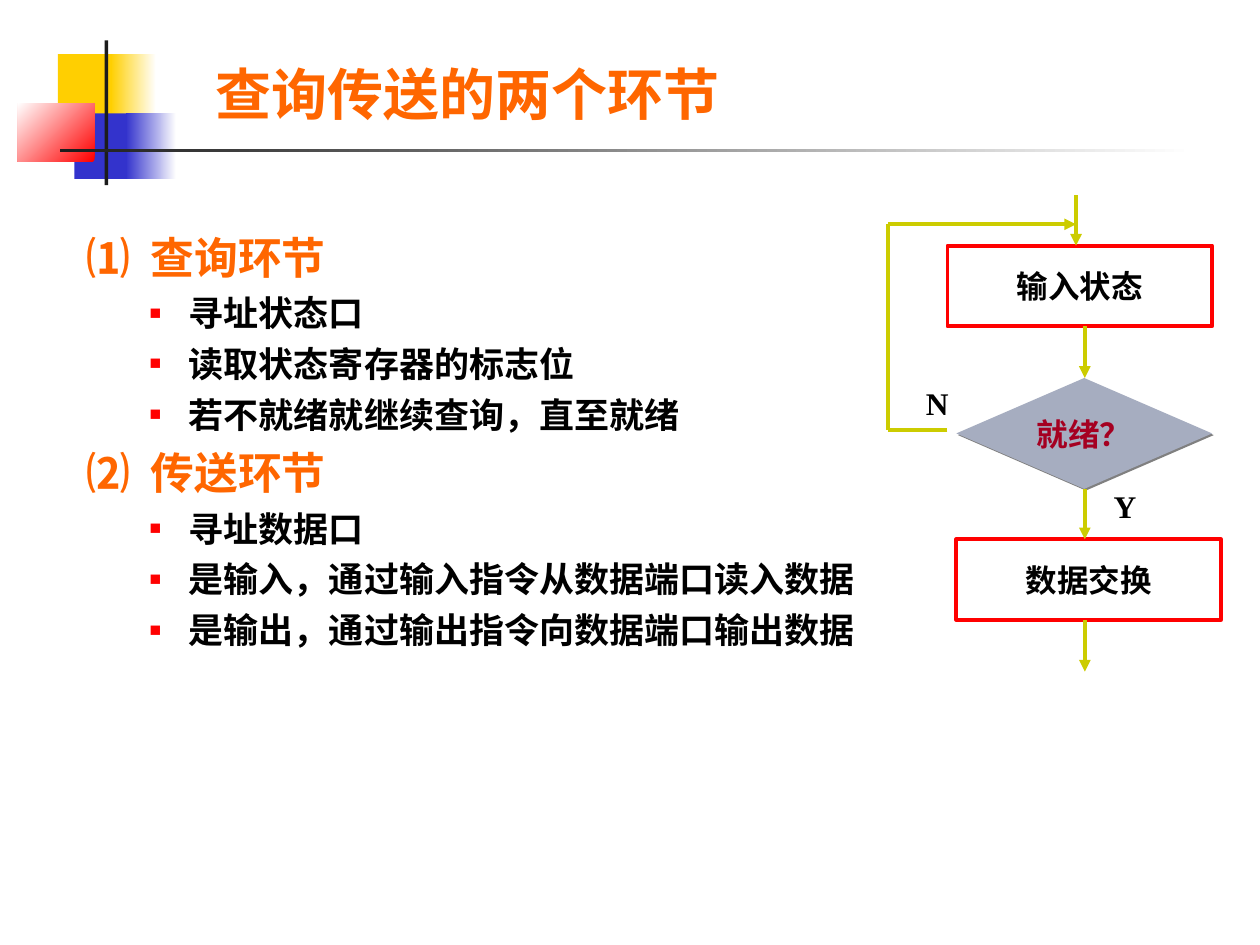
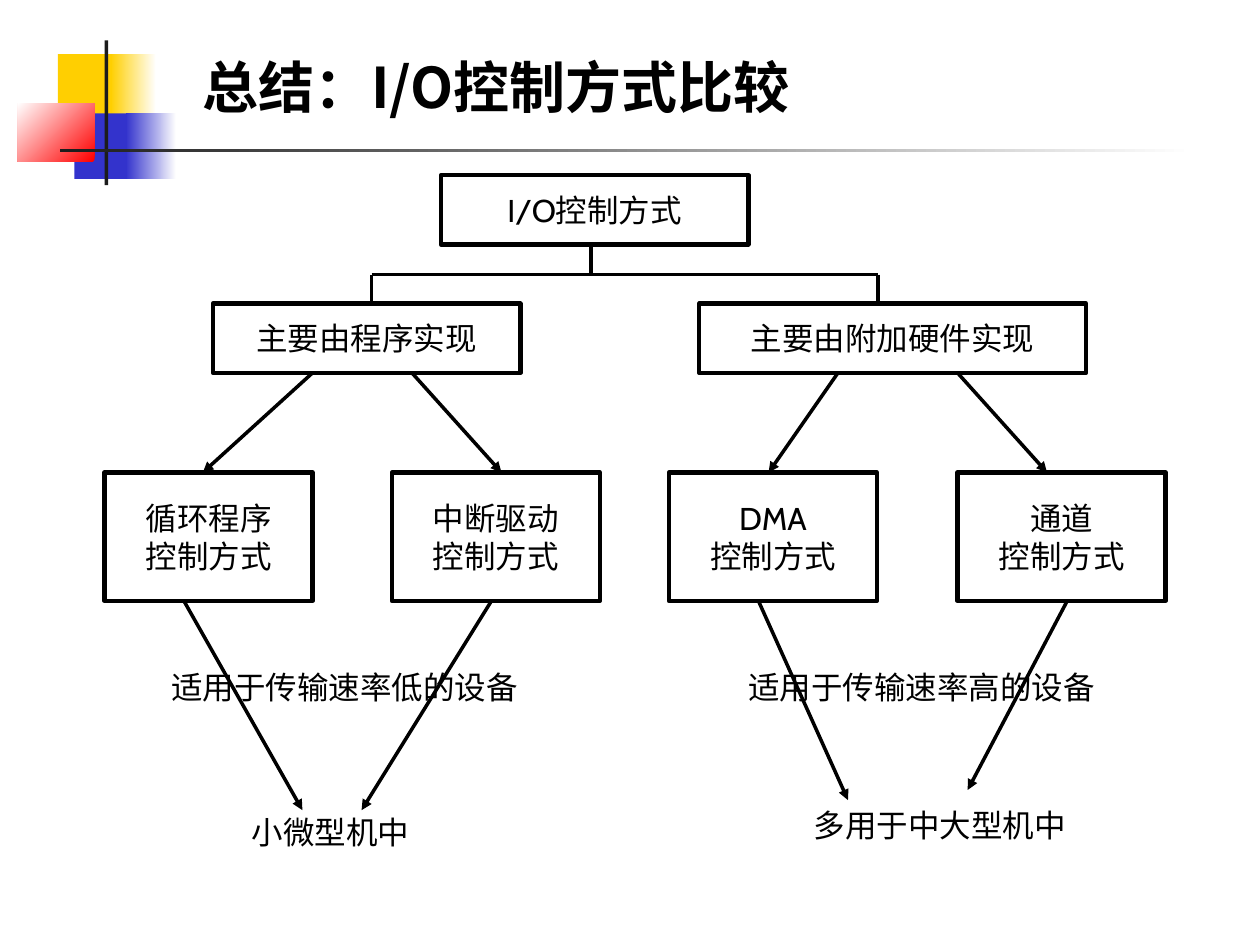
from lxml import etree
from pptx import Presentation
from pptx.dml.color import RGBColor
from pptx.enum.shapes import MSO_CONNECTOR, MSO_SHAPE
from pptx.enum.text import MSO_ANCHOR, MSO_AUTO_SIZE, PP_ALIGN
from pptx.oxml.ns import qn
from pptx.util import Inches, Pt

RECT = MSO_SHAPE.RECTANGLE
DIAMOND = MSO_SHAPE.DIAMOND
STRAIGHT = MSO_CONNECTOR.STRAIGHT
TOP, MIDDLE, BOTTOM = MSO_ANCHOR.TOP, MSO_ANCHOR.MIDDLE, MSO_ANCHOR.BOTTOM
LEFT, CENTER = PP_ALIGN.LEFT, PP_ALIGN.CENTER
NO_AUTOFIT = MSO_AUTO_SIZE.NONE
TITLE_ONLY = 5

BLACK, WHITE, RED = "000000", "FFFFFF", "FF0000"
YELLOW, BLUE, CHARCOAL = "FFCF01", "3333CC", "1C1C1C"
ORANGE, OLIVE, GREY_BLUE, CRIMSON = "FF6600", "CCCC00", "A6ADC0", "A50021"
CABIN, ARIAL, TIMES, NOTO = "Cabin", "Arial", "Times New Roman", "Noto Sans CJK SC"

BANDS = [
    ((0.46, 0.43, 0.48, 0.52), YELLOW),
    ((0.88, 0.43, 0.36, 0.52), (WHITE, YELLOW), 180),
    ((0.59, 0.9, 0.46, 0.52), BLUE),
    ((1, 0.9, 0.4, 0.52), (WHITE, BLUE), 180),
    ((0.14, 0.82, 0.61, 0.46), (RED, WHITE), 135),
    ((0.83, 0.32, 0.03, 1.15), CHARCOAL),
    ((0.48, 1.18, 9, 0.03), (WHITE, CHARCOAL), 180),
]


def rgb(value):
    return RGBColor.from_string(value)


def inches(values):
    return [Inches(value) for value in values]


def add_xml(parent, tag, **attributes):
    return etree.SubElement(parent, qn(tag), attributes)


class Deck:
    def __init__(self):
        self.prs = Presentation()
        self.prs.slide_width, self.prs.slide_height = inches((10, 7.5))
        self.slide = None
        self.font, self.bold, self.line_color = CABIN, False, BLACK

    def new_slide(self, title, at, color, font, anchor, body_font, bold, line_color):
        self.slide = self.prs.slides.add_slide(self.prs.slide_layouts[TITLE_ONLY])
        self.font, self.bold, self.line_color = body_font, bold, line_color
        for band in BANDS:
            self.band(*band)
        heading = self.slide.shapes.title
        heading.left, heading.top, heading.width, heading.height = inches(at)
        self.fill_text(heading.text_frame, [title], 32, color, LEFT, anchor, font, True)

    def preset(self, kind, at):
        shape = self.slide.shapes.add_shape(kind, *inches(at))
        shape.shadow.inherit = False
        shape.line.fill.background()
        return shape

    def band(self, at, color, angle=None):
        fill = self.preset(RECT, at).fill
        if angle is None:
            fill.solid()
            fill.fore_color.rgb = rgb(color)
            return
        fill.gradient()
        fill.gradient_angle = angle
        for stop, stop_color in zip(fill.gradient_stops, color):
            stop.color.rgb = rgb(stop_color)

    def run(self, paragraph, text, size, color, font, bold):
        run = paragraph.add_run()
        run.text = text
        run.font.name, run.font.size, run.font.bold = font, Pt(size), bold
        run.font.color.rgb = rgb(color)
        add_xml(run.font._element, "a:ea", typeface=CABIN)

    def fill_text(self, frame, lines, size, color, align, anchor, font=None, bold=None):
        frame.word_wrap = False
        frame.auto_size = NO_AUTOFIT
        frame.vertical_anchor = anchor
        for index, line in enumerate(lines):
            paragraph = frame.add_paragraph() if index else frame.paragraphs[0]
            paragraph.alignment = align
            self.run(paragraph, line, size, color, font or self.font,
                     self.bold if bold is None else bold)

    def box(self, at, lines, color, weight):
        shape = self.preset(RECT, at)
        shape.fill.background()
        shape.line.color.rgb = rgb(color)
        shape.line.width = Pt(weight)
        self.fill_text(shape.text_frame, lines, 18, BLACK, CENTER, MIDDLE)

    def decision(self, at, text):
        shape = self.preset(DIAMOND, at)
        shape.fill.solid()
        shape.fill.fore_color.rgb = rgb(GREY_BLUE)
        effects = shape._element.spPr.find(qn("a:effectLst"))
        shadow = add_xml(effects, "a:outerShdw", dist=str(Pt(1.4)), dir="2700000",
                         algn="ctr", rotWithShape="0")
        add_xml(shadow, "a:srgbClr", val="808080")
        self.fill_text(shape.text_frame, [text], 18, CRIMSON, CENTER, MIDDLE)

    def label(self, at, text):
        frame = self.slide.shapes.add_textbox(*inches(at)).text_frame
        self.fill_text(frame, [text], 18, BLACK, LEFT, TOP)

    def line(self, start, end, weight=2, arrow=False):
        connector = self.slide.shapes.add_connector(STRAIGHT, *inches((*start, *end)))
        connector.line.color.rgb = rgb(self.line_color)
        connector.line.width = Pt(weight)
        properties = connector._element.spPr
        if arrow:
            add_xml(properties.find(qn("a:ln")), "a:tailEnd", type="triangle")
        add_xml(properties, "a:effectLst")

    def outline(self, at, sections):
        frame = self.slide.shapes.add_textbox(*inches(at)).text_frame
        frame.word_wrap = True
        for number, (heading, points) in enumerate(sections):
            paragraph = frame.add_paragraph() if number else frame.paragraphs[0]
            self.indent(paragraph, 0.51, 0.51)
            if number:
                paragraph.space_before = Pt(6.2)
            self.run(paragraph, heading, 25, ORANGE, ARIAL, True)
            for point in points:
                paragraph = frame.add_paragraph()
                paragraph.level = 1
                self.bullet(self.indent(paragraph, 0.81, 0.31))
                paragraph.space_before = Pt(5)
                self.run(paragraph, point, 20, BLACK, ARIAL, True)

    def indent(self, paragraph, margin, hanging):
        properties = paragraph._p.get_or_add_pPr()
        properties.set("marL", str(Inches(margin)))
        properties.set("indent", str(-Inches(hanging)))
        return properties

    def bullet(self, properties):
        add_xml(add_xml(properties, "a:buClr"), "a:srgbClr", val=RED)
        add_xml(properties, "a:buSzPct", val="55000")
        add_xml(properties, "a:buFont", typeface=ARIAL)
        add_xml(properties, "a:buChar", char="■")


def build_query_transfer(deck):
    deck.new_slide("查询传送的两个环节", (1.61, 0.36, 4.41, 0.7), ORANGE, CABIN, BOTTOM,
                   body_font=TIMES, bold=True, line_color=OLIVE)
    deck.outline((0.59, 1.78, 6.54, 3.86), [
        ("⑴\t查询环节", ["寻址状态口", "读取状态寄存器的标志位", "若不就绪就继续查询，直至就绪"]),
        ("⑵\t传送环节", ["寻址数据口", "是输入，通过输入指令从数据端口读入数据",
                       "是输出，通过输出指令向数据端口输出数据"]),
    ])
    deck.box((7.52, 1.95, 2.1, 0.64), ["输入状态"], RED, 2.25)
    deck.decision((7.59, 3, 2.03, 0.88), "就绪？")
    deck.box((7.59, 4.28, 2.1, 0.64), ["数据交换"], RED, 2.25)

    entry, axis, loop = 8.54, 8.61, 7.05
    for x, top, bottom in [(entry, 1.55, 1.95), (axis, 2.59, 3),
                           (axis, 3.88, 4.28), (axis, 4.92, 5.33)]:
        deck.line((x, top), (x, bottom), 2.25, arrow=True)
    loop_back = [(7.52, 3.41), (loop, 3.41), (loop, 1.78), (entry, 1.78)]
    for start, end in zip(loop_back, loop_back[1:]):
        deck.line(start, end, 2.25, arrow=end == loop_back[-1])
    deck.label((8.74, 3.82, 0.68, 0.4), "Y")
    deck.label((7.25, 3, 0.68, 0.4), "N")


def build_comparison(deck):
    deck.new_slide("总结：I/O控制方式比较", (1.51, 0.36, 5.46, 0.64), BLACK, NOTO, MIDDLE,
                   body_font=CABIN, bold=False, line_color=BLACK)
    for left, top, width, text in [(3.5, 1.39, 2.44, "I/O控制方式"),
                                   (1.69, 2.41, 2.44, "主要由程序实现"),
                                   (5.55, 2.41, 3.07, "主要由附加硬件实现")]:
        deck.box((left, top, width, 0.55), [text], BLACK, 2.5)
    for left, method in [(0.83, "循环程序"), (3.11, "中断驱动"), (5.31, "DMA"), (7.6, "通道")]:
        deck.box((left, 3.75, 1.65, 1.02), [method, "控制方式"], BLACK, 2.5)

    root, software, hardware, fork = 4.69, 2.95, 6.97, 2.18
    deck.line((root, 1.94), (root, fork))
    deck.line((software, fork), (hardware, fork))
    for branch in (software, hardware):
        deck.line((branch, fork), (branch, 2.41))
    for start, end in [(2.48, 1.61), (3.27, 3.98), (6.65, 6.1), (7.6, 8.31)]:
        deck.line((start, 2.96), (end, 3.75), arrow=True)
    for start, end in [(1.46, (2.4, 6.43)), (3.9, (2.87, 6.43)),
                       (6.02, (6.73, 6.35)), (8.47, (7.68, 6.27))]:
        deck.line((start, 4.77), end, arrow=True)

    for left, top, width, text in [(1.9, 6.4, 1.45, "小微型机中"),
                                   (6.36, 6.35, 2.2, "多用于中大型机中"),
                                   (1.26, 5.25, 2.95, "适用于传输速率低的设备"),
                                   (5.84, 5.25, 2.95, "适用于传输速率高的设备")]:
        deck.label((left, top, width, 0.4), text)


def main():
    deck = Deck()
    build_query_transfer(deck)
    build_comparison(deck)
    deck.prs.save("out.pptx")


if __name__ == "__main__":
    main()
